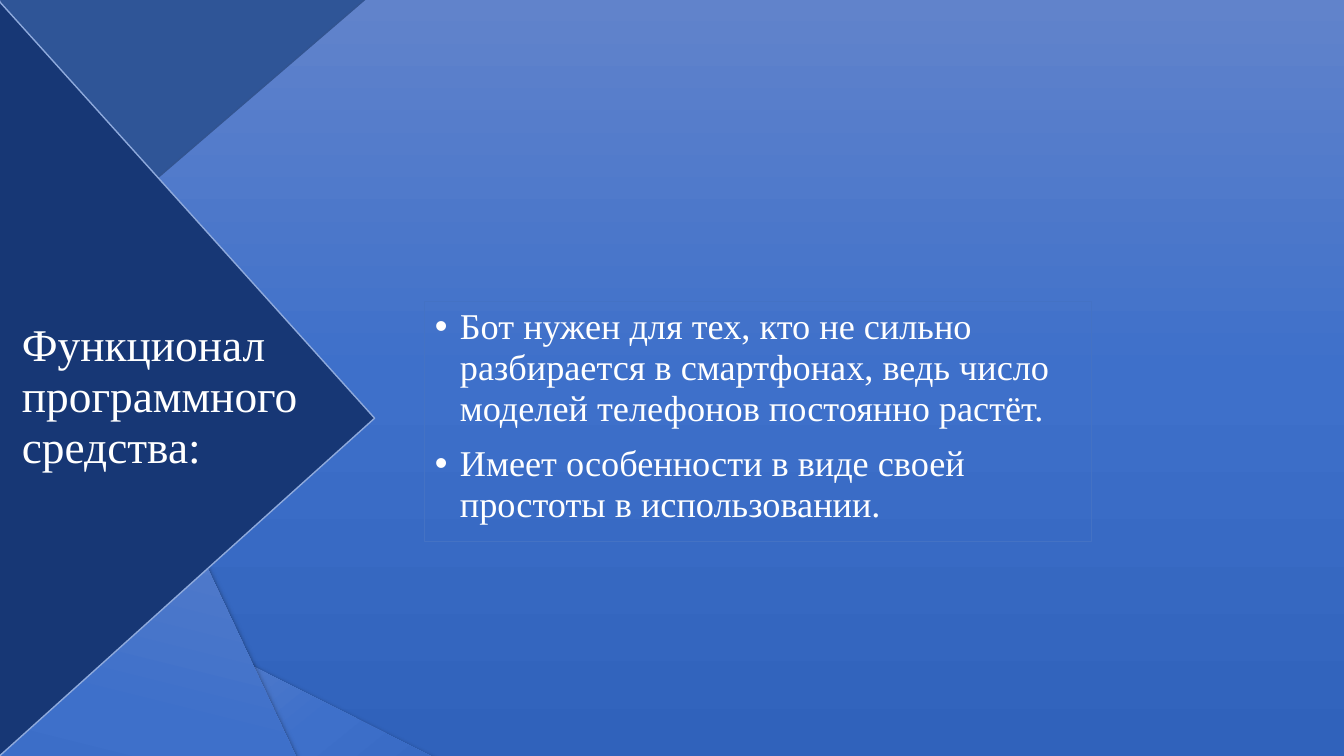
"""Build the slide on what the bot does."""
from dataclasses import dataclass
from typing import Optional

from lxml.etree import SubElement
from pptx import Presentation
from pptx.dml.color import RGBColor
from pptx.enum.shapes import MSO_SHAPE
from pptx.enum.text import MSO_ANCHOR, PP_ALIGN
from pptx.oxml import parse_xml
from pptx.oxml.ns import nsdecls, qn
from pptx.util import Emu, Pt

SCALE = 12192000 / 1344
FONT = "Times New Roman"
WHITE = RGBColor(0xFF, 0xFF, 0xFF)
BLACK = RGBColor(0x00, 0x00, 0x00)
NAVY = RGBColor(0x17, 0x37, 0x75)
STEEL = RGBColor(0x2F, 0x55, 0x97)
EDGE = RGBColor(0x32, 0x54, 0x91)
PALE = RGBColor(0x8F, 0xAA, 0xDC)
BLUE = RGBColor(0x44, 0x72, 0xC4)
STOPS = (
    (0, RGBColor(0x61, 0x83, 0xCB)),
    (50, RGBColor(0x3E, 0x70, 0xCA)),
    (100, RGBColor(0x30, 0x62, 0xBB)),
)


@dataclass(frozen=True)
class Box:
    """Place and size in px."""
    left: int
    top: int
    width: int
    height: int

    def emu(self) -> list[Emu]:
        """Give the four lengths in EMU."""
        return [px(n) for n in (self.left, self.top, self.width, self.height)]


@dataclass(frozen=True)
class Facet:
    """One shape of the backdrop; without a fill it takes the gradient."""
    kind: MSO_SHAPE
    box: Box
    turn: int = 0
    fill: Optional[RGBColor] = None
    line: Optional[RGBColor] = None


@dataclass(frozen=True)
class Copy:
    """One text box with its paragraphs."""
    box: Box
    size: float
    lines: tuple[str, ...]
    anchor: MSO_ANCHOR
    bullet: bool = False
    line: Optional[RGBColor] = None


BACK = (
    Facet(MSO_SHAPE.RECTANGLE, Box(-2, -1, 1346, 757)),
    Facet(MSO_SHAPE.ISOSCELES_TRIANGLE, Box(205, 633, 190, 211), 321),
    Facet(MSO_SHAPE.ISOSCELES_TRIANGLE, Box(-151, 534, 601, 369), 14),
)
FRONT = (
    Facet(MSO_SHAPE.ISOSCELES_TRIANGLE, Box(-47, -166, 474, 369), 82, STEEL, EDGE),
    Facet(MSO_SHAPE.RIGHT_TRIANGLE, Box(-284, 125, 563, 508), 228, NAVY, PALE),
)
BODY = Copy(
    Box(425, 302, 667, 240), 25.9,
    ("Бот нужен для тех, кто не сильно разбирается в смартфонах, "
     "ведь число моделей телефонов постоянно растёт.",
     "Имеет особенности в виде своей простоты в использовании."),
    MSO_ANCHOR.TOP, True, BLUE,
)
TITLE = Copy(
    Box(12, 323, 380, 148), 32.4,
    ("Функционал программного средства:",), MSO_ANCHOR.MIDDLE,
)


def px(count: int) -> Emu:
    """Turn px into EMU."""
    return Emu(round(count * SCALE))


def shade(shape) -> None:
    """Give a shape the downward gradient and a soft shadow."""
    stops = "".join(
        f'<a:gs pos="{pos * 1000}"><a:srgbClr val="{tint}"/></a:gs>'
        for pos, tint in STOPS
    )
    grad = parse_xml(
        f'<a:gradFill {nsdecls("a")} rotWithShape="1"><a:gsLst>{stops}</a:gsLst>'
        '<a:lin ang="5400000" scaled="0"/></a:gradFill>'
    )
    glow = parse_xml(
        f'<a:outerShdw {nsdecls("a")} blurRad="{Pt(4.5)}" dist="{Pt(1.5)}" '
        f'dir="5400000" algn="ctr" rotWithShape="0"><a:srgbClr val="{BLACK}">'
        '<a:alpha val="63000"/></a:srgbClr></a:outerShdw>'
    )
    props = shape.element.spPr
    props.find(qn("a:prstGeom")).addnext(grad)
    props.find(qn("a:effectLst")).append(glow)


def draw(slide, facet: Facet) -> None:
    """Draw one facet."""
    shape = slide.shapes.add_shape(facet.kind, *facet.box.emu())
    shape.rotation = facet.turn
    shape.shadow.inherit = False
    if facet.fill is None:
        shade(shape)
    else:
        shape.fill.solid()
        shape.fill.fore_color.rgb = facet.fill
    if facet.line is None:
        shape.line.fill.background()
    else:
        shape.line.color.rgb = facet.line
        shape.line.width = Pt(1)


def mark(para) -> None:
    """Add a bullet with a hanging indent."""
    props = para._p.get_or_add_pPr()
    props.set("marL", str(px(25)))
    props.set("indent", str(px(-25)))
    SubElement(props, qn("a:buFont")).set("typeface", "Arial")
    SubElement(props, qn("a:buChar")).set("char", "•")


def write(slide, copy: Copy) -> None:
    """Write one text box."""
    shape = slide.shapes.add_textbox(*copy.box.emu())
    if copy.line is not None:
        shape.line.color.rgb = copy.line
        shape.line.width = Pt(0.75)
    frame = shape.text_frame
    frame.word_wrap = True
    frame.vertical_anchor = copy.anchor
    for place, text in enumerate(copy.lines):
        para = frame.add_paragraph() if place else frame.paragraphs[0]
        para.alignment = PP_ALIGN.LEFT
        para.line_spacing = 0.94
        if copy.bullet:
            para.space_before = Pt(10)
            mark(para)
        run = para.add_run()
        run.text = text
        run.font.name = FONT
        run.font.size = Pt(copy.size)
        run.font.color.rgb = WHITE


def main() -> None:
    """Build and save the deck."""
    deck = Presentation()
    deck.slide_width, deck.slide_height = px(1344), px(756)
    slide = deck.slides.add_slide(deck.slide_layouts[6])
    for facet in BACK:
        draw(slide, facet)
    write(slide, BODY)
    for facet in FRONT:
        draw(slide, facet)
    write(slide, TITLE)
    deck.save("out.pptx")


if __name__ == "__main__":
    main()
